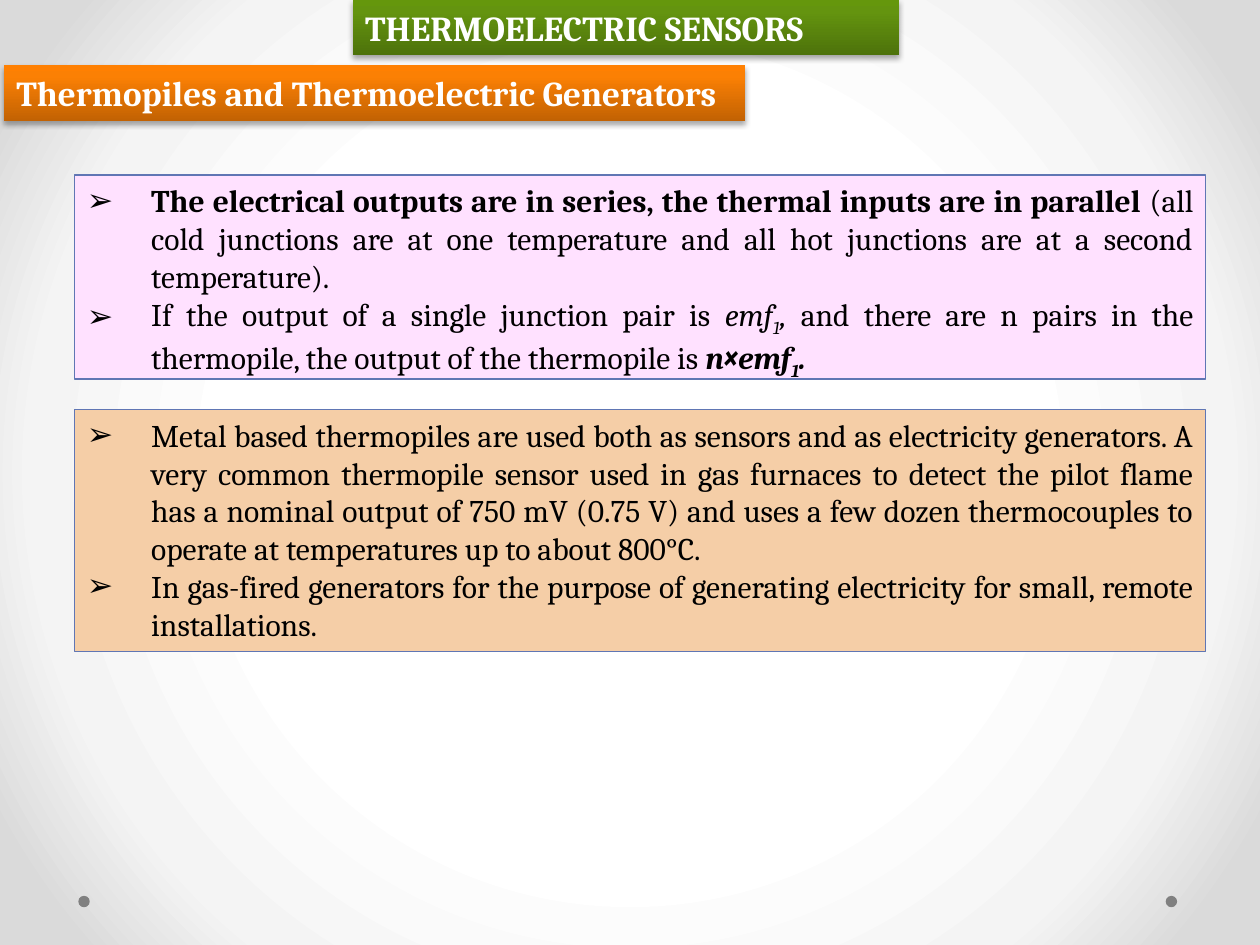
from lxml import etree
from pptx import Presentation
from pptx import util as u
from pptx.dml.color import RGBColor
from pptx.enum import shapes, text
from pptx.oxml import parse_xml
from pptx.oxml.ns import nsdecls, qn

# Content: each panel is a list of bullets, each bullet a list of (wording, style)
# Styles: b = bold, i = italic, s = subscript, x = symbol font
BANNERS = [
    # wording, left, top, width, gradient
    ("THERMOELECTRIC SENSORS", 7.11, 0, 11.02, "green"),
    ("Thermopiles and Thermoelectric Generators", 0.08, 1.32, 14.94, "orange"),
]
PANELS = [
    # top, height, fill, bullets
    (3.53, 4.11, "pink", [
        [("The electrical outputs are in series, the thermal inputs are in parallel ", "b"),
         ("(all cold junctions are at one temperature and all hot junctions "
          "are at a second temperature).", "")],
        [("If the output of a single junction pair is ", ""),
         ("emf", "i"), ("1", "is"), (", ", "i"),
         ("and there are n pairs in the thermopile, the output of the thermopile is ", ""),
         ("n", "bi"), ("×", "bix"), ("emf", "bi"), ("1", "bis"), (".", "bi")],
    ]),
    (8.26, 4.88, "peach", [
        [("Metal based thermopiles are used both as sensors and as electricity generators. "
          "A very common thermopile sensor used in gas furnaces to detect the pilot flame "
          "has a nominal output of 750 mV (0.75 V) and uses a few dozen thermocouples to "
          "operate at temperatures up to about 800°C.", "")],
        [("In gas-fired generators for the purpose of generating electricity for small, "
          "remote installations.", "")],
    ]),
]

THEME = {
    "font": "Cambria", "symbol_font": "Roboto Condensed",
    "banner_size": 20, "body_size": 18,
    "black": "000000", "white": "FFFFFF", "dot": "808080", "border": "6076B4",
    "pink": "FFE1FF", "peach": "F5CEA7",
    "green": [(0, "4D720B"), (80, "64940F"), (100, "65970C")],
    "orange": [(0, "C26203"), (80, "FB8004"), (100, "FF8002")],
    "backdrop": [(50, "FFFFFF"), (76, "F4F4F4"), (92, "DADADA")],
}
PANEL_LEFT, PANEL_WIDTH, BANNER_HEIGHT, INDENT = 1.5, 22.81, 1.12, 1.3
DOT_LEFTS, DOT_TOP, DOT_SIZE = (1.58, 23.5), 18.06, 0.23
UPWARD = '<a:lin ang="16200000" scaled="0"/>'
RADIAL = '<a:path path="circle"><a:fillToRect l="50000" t="50000" r="50000" b="50000"/></a:path>'
SHADOW = ('<a:outerShdw %s blurRad="39370" dist="22860" dir="5400000" rotWithShape="0">'
          '<a:srgbClr val="000000"><a:alpha val="35000"/></a:srgbClr></a:outerShdw>')


def color(name):
    return RGBColor.from_string(THEME[name])


def set_gradient(owner, properties, name, direction):
    """Fill the owner of a fill with the named gradient stops."""
    owner.fill.solid()
    stops = "".join(f'<a:gs pos="{pos * 1000}"><a:srgbClr val="{rgb}"/></a:gs>'
                    for pos, rgb in THEME[name])
    gradient = parse_xml(f'<a:gradFill {nsdecls("a")} rotWithShape="1">'
                         f'<a:gsLst>{stops}</a:gsLst>{direction}</a:gradFill>')
    container = properties()
    container.replace(container.find(qn("a:solidFill")), gradient)


def add_box(slide, left, top, width, height):
    box = slide.shapes.add_textbox(u.Cm(left), u.Cm(top), u.Cm(width), u.Cm(height))
    box.text_frame.word_wrap = True
    return box


def add_span(para, wording, style, size, color_name):
    span = para.add_run()
    span.text = wording
    font = span.font
    font.name = THEME["symbol_font" if "x" in style else "font"]
    font.size = u.Pt(size)
    font.color.rgb = color(color_name)
    font.bold, font.italic = "b" in style, "i" in style
    if "s" in style:
        span._r.get_or_add_rPr().set("baseline", "-25000")


def add_banner(slide, wording, left, top, width, gradient):
    box = add_box(slide, left, top, width, BANNER_HEIGHT)
    properties = box.element.spPr
    set_gradient(box, lambda: properties, gradient, UPWARD)
    box.shadow.inherit = False
    properties.find(qn("a:effectLst")).append(parse_xml(SHADOW % nsdecls("a")))
    add_span(box.text_frame.paragraphs[0], wording, "b", THEME["banner_size"], "white")


def add_panel(slide, top, height, fill, bullets):
    box = add_box(slide, PANEL_LEFT, top, PANEL_WIDTH, height)
    box.fill.solid()
    box.fill.fore_color.rgb = color(fill)
    box.line.color.rgb = color("border")
    box.line.width = u.Pt(0.75)
    frame = box.text_frame
    for index, spans in enumerate(bullets):
        para = frame.add_paragraph() if index else frame.paragraphs[0]
        para.alignment = text.PP_ALIGN.JUSTIFY
        settings = para._p.get_or_add_pPr()
        settings.set("marL", str(u.Cm(INDENT)))
        settings.set("indent", str(-u.Cm(INDENT)))
        etree.SubElement(settings, qn("a:buFont")).set("typeface", "Arial")
        etree.SubElement(settings, qn("a:buChar")).set("char", "➢")
        for wording, style in spans:
            add_span(para, wording, style, THEME["body_size"], "black")


def main():
    deck = Presentation()
    deck.slide_width, deck.slide_height = u.Cm(25.4), u.Cm(19.05)
    slide = deck.slides.add_slide(deck.slide_layouts[6])

    # Backdrop
    set_gradient(slide.background, lambda: slide.element.find(".//" + qn("p:bgPr")),
                 "backdrop", RADIAL)

    # Corner dots
    for left in DOT_LEFTS:
        dot = slide.shapes.add_shape(shapes.MSO_SHAPE.OVAL, u.Cm(left), u.Cm(DOT_TOP),
                                     u.Cm(DOT_SIZE), u.Cm(DOT_SIZE))
        dot.shadow.inherit = False
        dot.fill.solid()
        dot.fill.fore_color.rgb = color("dot")
        dot.line.fill.background()

    # Headings and bullet panels
    for banner in BANNERS:
        add_banner(slide, *banner)
    for panel in PANELS:
        add_panel(slide, *panel)

    deck.save("out.pptx")


if __name__ == "__main__":
    main()
